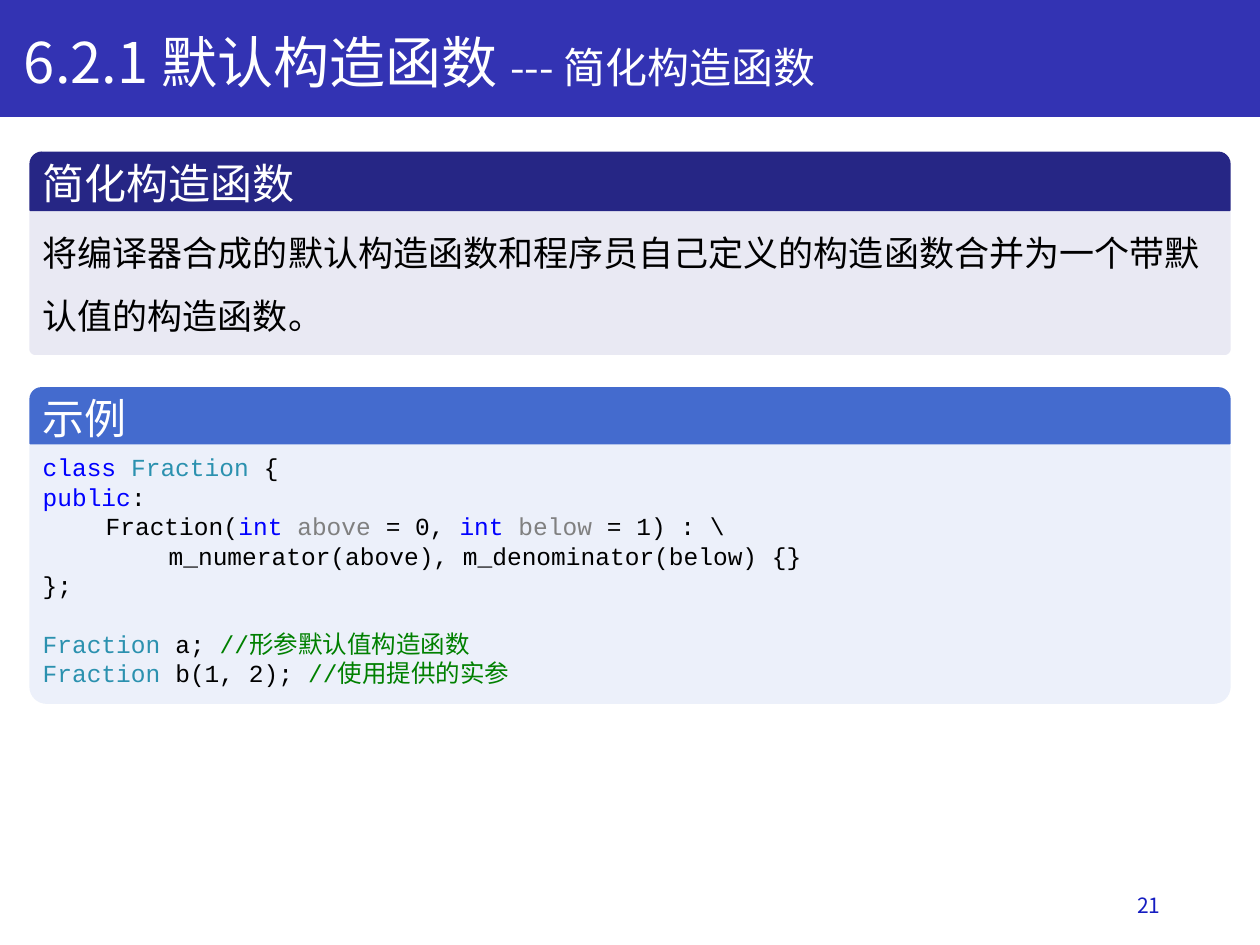
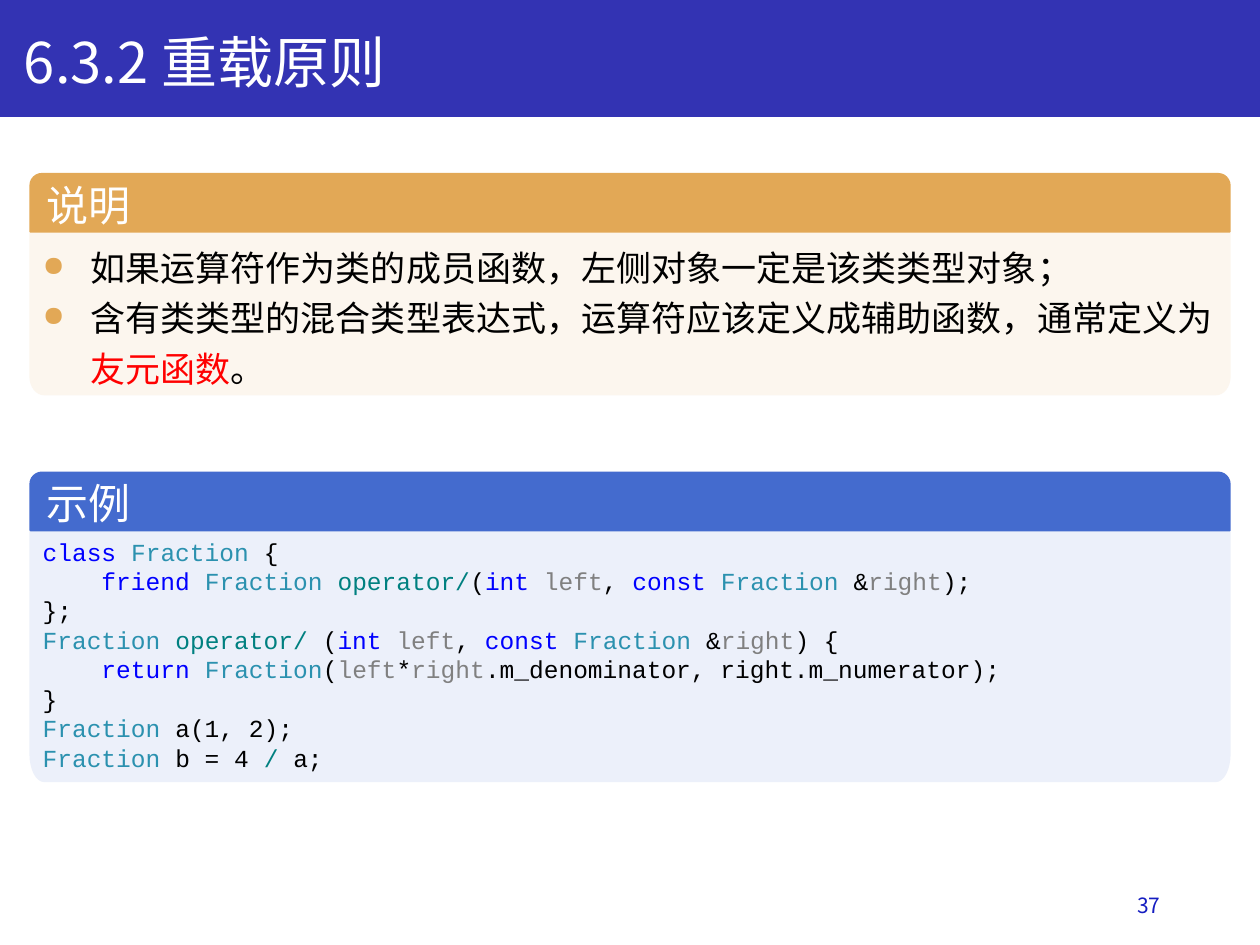
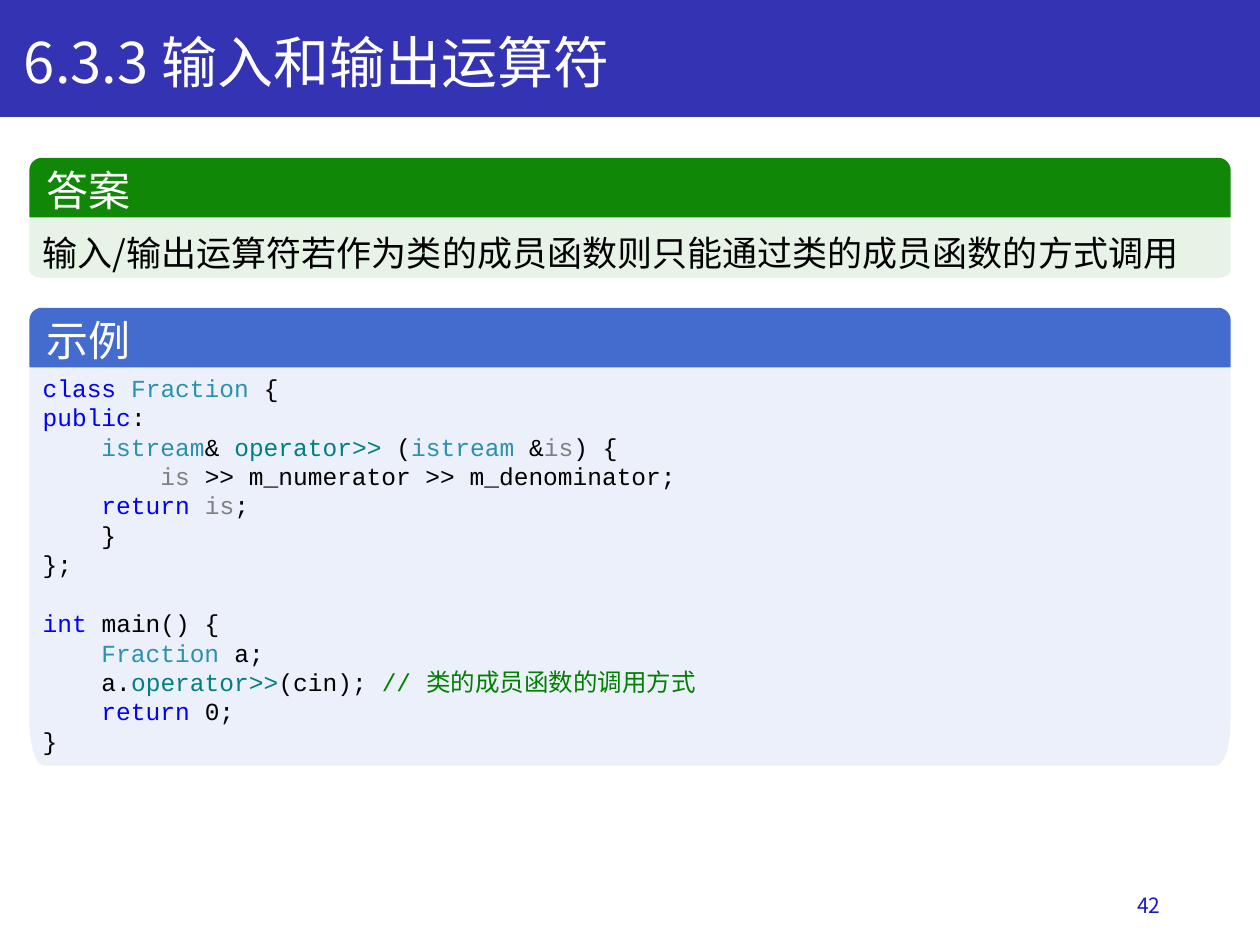
from dataclasses import dataclass, field
from math import cos, pi, sin

from lxml.etree import SubElement
from pptx import Presentation
from pptx.dml.color import RGBColor
from pptx.enum.shapes import MSO_SHAPE
from pptx.enum.text import MSO_ANCHOR, PP_ALIGN
from pptx.oxml.ns import qn
from pptx.util import Inches, Pt

COLUMNS, ROWS = 100, 75
TITLE_ONLY = 5


def rgb(value):
    return RGBColor.from_string(value)


@dataclass
class Theme:
    sans: str = "Noto Sans CJK SC"
    mono: str = "Courier New"
    band: str = "3333B3"
    text: dict = field(default_factory=lambda: {
        "title": {"name": "Noto Sans CJK SC", "size": Pt(32), "rgb": "FFFFFF"},
        "heading": {"name": "Courier New", "size": Pt(24), "rgb": "FFFFFF"},
        "body": {"name": "Noto Sans CJK SC", "size": Pt(20), "rgb": "000000"},
        "code": {"name": "Courier New", "size": Pt(14), "rgb": "000000"},
        "number": {"name": "Noto Sans CJK SC", "size": Pt(12), "rgb": "151DC1"},
    })
    # Marks that may stand in square brackets before a stretch of text.
    marks: dict = field(default_factory=lambda: {
        "": {},
        "small": {"size": Pt(24)},
        "red": {"rgb": "FF0000"},
        "k": {"rgb": "0000FF"},   # keyword
        "t": {"rgb": "2B91AF"},   # type
        "p": {"rgb": "808080"},   # parameter
        "o": {"rgb": "008080"},   # operator
        "c": {"rgb": "008000"},   # comment
    })
    # Heading fill and body fill of each kind of panel.
    panels: dict = field(default_factory=lambda: {
        "definition": ("262685", "E9E9F3"),
        "example": ("446BCE", "ECF0FA"),
        "note": ("E2A856", "FCF6EE"),
        "answer": ("118707", "E7F3E6"),
    })
    code_gap: int = Pt(16.8)


class Lecture:
    left, right = 2.4, 97.6

    def __init__(self, theme):
        self.theme = theme
        self.deck = Presentation()
        self.deck.slide_width = Inches(10)
        self.cell = self.deck.slide_width / COLUMNS
        self.deck.slide_height = round(ROWS * self.cell)
        self.page = None

    def grid(self, *lengths):
        return [round(length * self.cell) for length in lengths]

    def format_frame(self, frame, **values):
        for name, value in ({"word_wrap": True} | values).items():
            setattr(frame, name, value)

    def add_spans(self, para, text, style, **changes):
        """Fill a paragraph, switching format at each bracketed mark."""
        base = self.theme.text[style] | changes
        plain, *marked = text.split("[")
        pieces = [("", plain)] + [part.split("]", 1) for part in marked]
        for mark, words in pieces:
            if not words:
                continue
            span = para.add_run()
            span.text = words
            for name, value in (base | self.theme.marks[mark]).items():
                if name == "rgb":
                    span.font.color.rgb = rgb(value)
                else:
                    setattr(span.font, name, value)
            SubElement(span.font._rPr, qn("a:ea"), typeface=self.theme.sans)

    def paint(self, shape, color):
        shape.shadow.inherit = False
        shape.fill.solid()
        shape.fill.fore_color.rgb = rgb(color)
        shape.line.color.rgb = rgb(color)
        shape.line.width = Pt(1)

    def start_page(self, title, number):
        self.page = self.deck.slides.add_slide(self.deck.slide_layouts[TITLE_ONLY])
        band = self.page.shapes.add_shape(
            MSO_SHAPE.RECTANGLE, *self.grid(0, 0, COLUMNS, 9.2))
        self.paint(band, self.theme.band)

        box = self.page.shapes.title
        band._element.addnext(box._element)
        box.left, box.top, box.width, box.height = self.grid(0.9, 1.7, 96.7, 6.4)
        self.format_frame(box.text_frame, vertical_anchor=MSO_ANCHOR.TOP)
        para = box.text_frame.paragraphs[0]
        para.alignment = PP_ALIGN.LEFT
        self.add_spans(para, title, "title")

        box = self.page.shapes.add_textbox(*self.grid(70.6, 69.8, 22.5, 4))
        self.format_frame(box.text_frame, vertical_anchor=MSO_ANCHOR.MIDDLE)
        para = box.text_frame.paragraphs[0]
        para.alignment = PP_ALIGN.RIGHT
        self.add_spans(para, str(number), "number")

    def panel_body(self, top, bottom, color, corner):
        """Draw a block with round lower corners, stretched when no corner is given."""
        across, down = (corner, corner) if corner else (1.1, 0.11 * (bottom - top))
        points = [(self.right, top)]
        for center, first in ((self.right - across, 0), (self.left + across, pi / 2)):
            for step in range(9):
                angle = first + step * pi / 16
                points.append((center + across * cos(angle),
                               bottom - down + down * sin(angle)))
        builder = self.page.shapes.build_freeform(*self.grid(self.left, top))
        builder.add_line_segments([self.grid(*point) for point in points])
        body = builder.convert_to_shape()
        self.paint(body, color)
        return body

    def panel(self, kind, heading, top, split, bottom, *, corner=None, inset=0.5,
              heading_font=None, heading_margin=1.0):
        """Draw a headed block and return the text frame of its body."""
        dark, light = self.theme.panels[kind]
        body = self.panel_body(split, bottom, light, corner)
        header = self.page.shapes.add_shape(
            MSO_SHAPE.ROUND_2_SAME_RECTANGLE,
            *self.grid(self.left, top, self.right - self.left, split - top))
        header.adjustments[0], header.adjustments[1] = 0.2, 0
        self.paint(header, dark)
        self.format_frame(header.text_frame, vertical_anchor=MSO_ANCHOR.MIDDLE,
                          margin_left=self.grid(heading_margin)[0])
        para = header.text_frame.paragraphs[0]
        para.alignment = PP_ALIGN.LEFT
        self.add_spans(para, heading, "heading", name=heading_font or self.theme.mono)
        self.format_frame(body.text_frame, vertical_anchor=MSO_ANCHOR.TOP,
                          margin_top=self.grid(inset)[0])
        return body.text_frame

    def paragraphs(self, frame, count):
        """Yield the given number of left-aligned paragraphs of a new frame."""
        for index in range(count):
            para = frame.add_paragraph() if index else frame.paragraphs[0]
            para.alignment = PP_ALIGN.LEFT
            yield para

    def prose(self, frame, lines, spacing, bullet_color=None):
        for para, line in zip(self.paragraphs(frame, len(lines)), lines):
            para.line_spacing = spacing
            if bullet_color:
                self.add_bullet(para, bullet_color)
            self.add_spans(para, line, "body")

    def add_bullet(self, para, color):
        properties = para._p.get_or_add_pPr()
        indent = Inches(0.38)
        properties.set("marL", str(indent))
        properties.set("indent", str(-indent))
        tint = SubElement(properties, qn("a:buClr"))
        SubElement(tint, qn("a:srgbClr"), val=color)
        SubElement(properties, qn("a:buSzPct"), val="80000")
        SubElement(properties, qn("a:buChar"), char="●")

    def code(self, frame, *blocks):
        """Set blocks of code lines with one line of space between blocks."""
        lines = [(line, bool(block and not row))
                 for block, text in enumerate(blocks)
                 for row, line in enumerate(text.strip("\n").split("\n"))]
        for para, (line, starts_block) in zip(self.paragraphs(frame, len(lines)), lines):
            if starts_block:
                para.space_before = self.theme.code_gap
            if "\t" in line:
                stops = SubElement(para._p.get_or_add_pPr(), qn("a:tabLst"))
                for stop in (0.5, 1):
                    SubElement(stops, qn("a:tab"), pos=str(Inches(stop)), algn="l")
            self.add_spans(para, line, "code")


def default_constructor(lecture):
    lecture.start_page("6.2.1 默认构造函数 [small]--- 简化构造函数", 21)
    frame = lecture.panel("definition", "简化构造函数", 12.1, 16.7, 28.1, corner=0.4,
                          inset=0, heading_font=lecture.theme.sans, heading_margin=0.7)
    lecture.prose(frame, ["将编译器合成的默认构造函数和程序员自己定义的构造函数合并为一个带默认值的构造函数。"],
                  1.5)
    frame = lecture.panel("example", "示例", 30.8, 35.2, 55.8, corner=1.3, inset=0.7,
                          heading_margin=0.7)
    lecture.code(frame, """
[k]class [t]Fraction[] {
[k]public[]:
\tFraction([k]int [p]above[] = 0, [k]int [p]below[] = 1) : \\
\t\tm_numerator(above), m_denominator(below) {}
};
""", """
[t]Fraction[] a; [c]//形参默认值构造函数
[t]Fraction[] b(1, 2); [c]//使用提供的实参
""")


def overload_rules(lecture):
    lecture.start_page("6.3.2 重载原则", 37)
    frame = lecture.panel("note", "说明", 13.8, 18.4, 31.3)
    lecture.prose(frame, [
        "如果运算符作为类的成员函数，左侧对象一定是该类类型对象；",
        "含有类类型的混合类型表达式，运算符应该定义成辅助函数，通常定义为[red]友元函数[]。",
    ], 1.2, bullet_color=lecture.theme.panels["note"][0])
    frame = lecture.panel("example", "示例", 37.5, 42.1, 62)
    lecture.code(frame, """
[k]class [t]Fraction[] {
[k]    friend [t]Fraction [o]operator/[]([k]int [p]left[], [k]const [t]Fraction[] &[p]right[]);
};
[t]Fraction [o]operator/[] ([k]int [p]left[], [k]const [t]Fraction[] &[p]right[]) {
[k]    return [t]Fraction[]([p]left[]*[p]right[].m_denominator, right.m_numerator);
}
[t]Fraction[] a(1, 2);
[t]Fraction[] b = 4 [o]/[] a;
""")


def stream_operators(lecture):
    lecture.start_page("6.3.3 输入和输出运算符", 42)
    frame = lecture.panel("answer", "答案", 12.6, 17.2, 22)
    lecture.prose(frame, ["输入/输出运算符若作为类的成员函数则只能通过类的成员函数的方式调用"], 1.2)
    frame = lecture.panel("example", "示例", 24.5, 29.1, 60.7)
    lecture.code(frame, """
[k]class [t]Fraction[] {
[k]public[]:
[t]    istream[]& [o]operator>>[] ([t]istream[] &[p]is[]) {
[p]        is[] >> m_numerator >> m_denominator;
[k]    return [p]is[];
    }
};
""", """
[k]int[] main() {
[t]    Fraction[] a;
    a.[o]operator>>[](cin); [c]// 类的成员函数的调用方式
[k]    return[] 0;
}
""")


def main():
    lecture = Lecture(Theme())
    for build in (default_constructor, overload_rules, stream_operators):
        build(lecture)
    lecture.deck.save("out.pptx")


if __name__ == "__main__":
    main()
